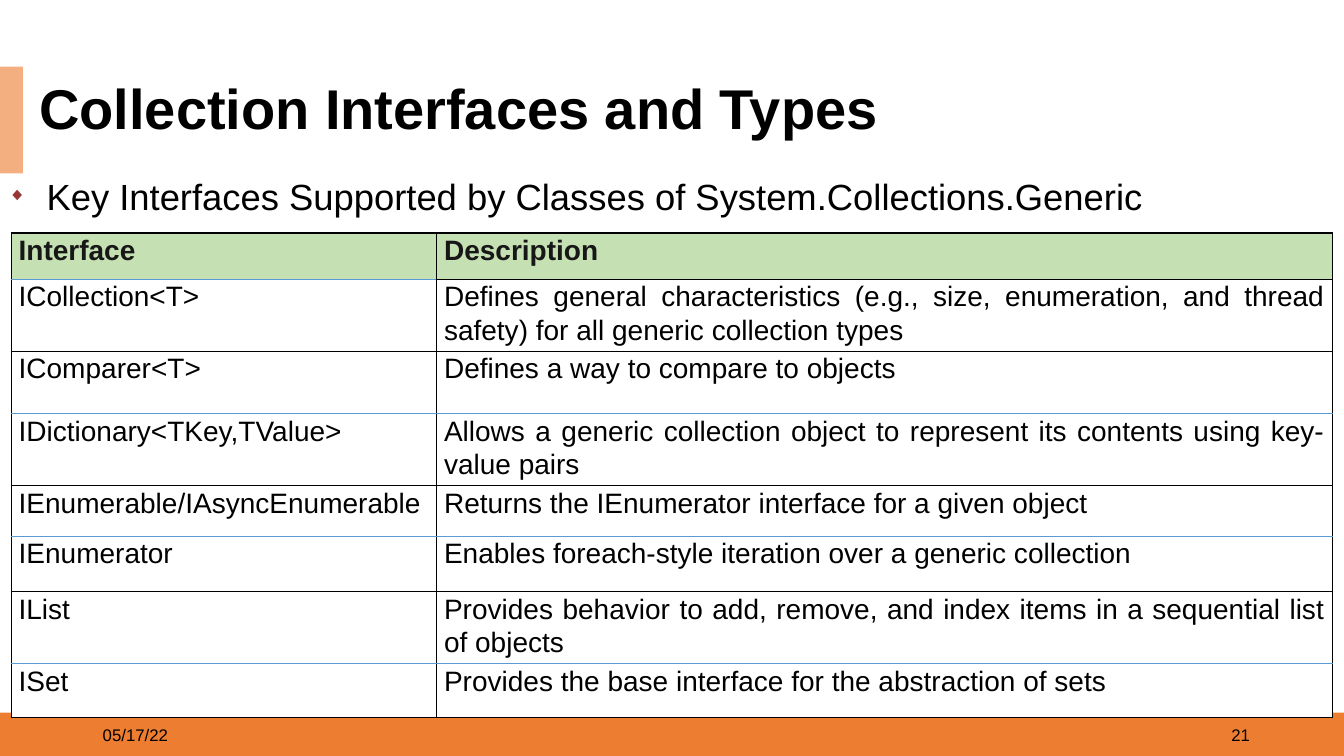
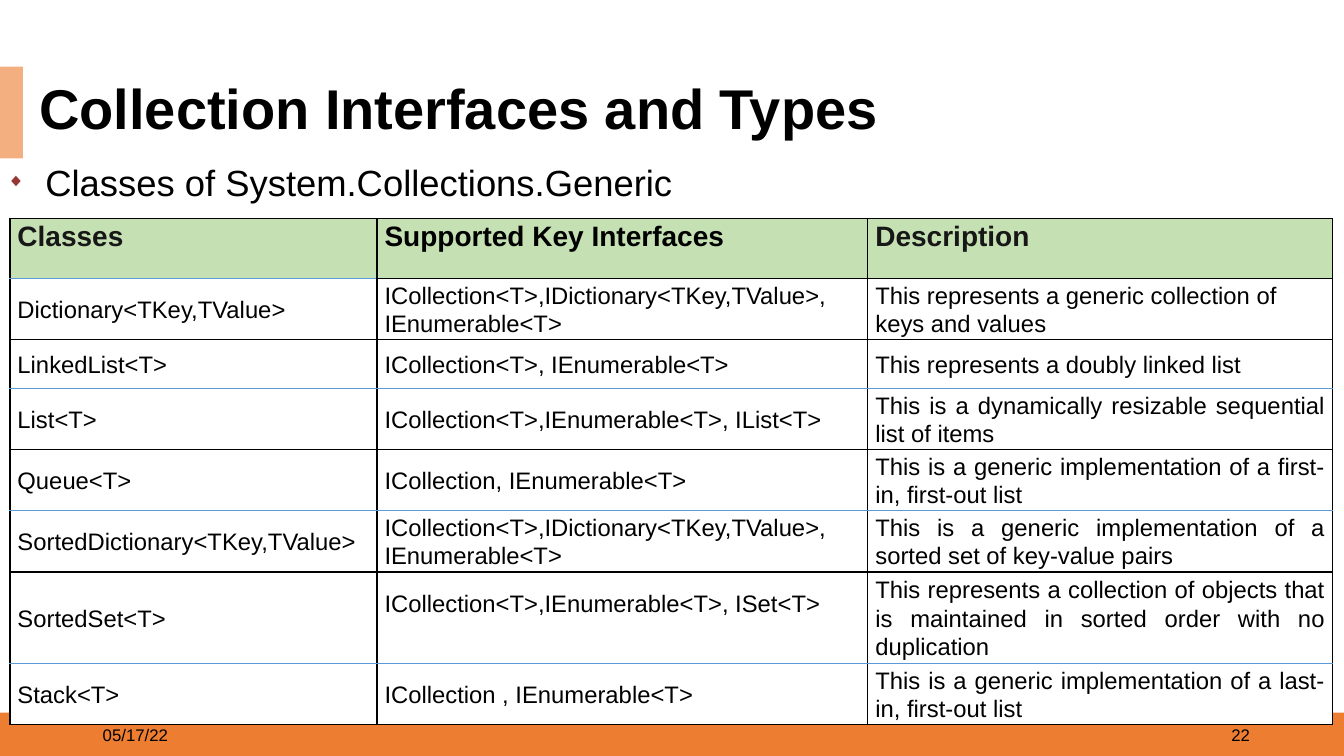
"""Build two slides of tables on generic collection interfaces and classes."""
from lxml import etree
from pptx import Presentation
from pptx.dml.color import RGBColor
from pptx.enum.shapes import MSO_SHAPE
from pptx.enum.text import MSO_ANCHOR, MSO_AUTO_SIZE, PP_ALIGN
from pptx.oxml.ns import qn
from pptx.util import Cm, Pt

RECT = MSO_SHAPE.RECTANGLE
TOP, MIDDLE = MSO_ANCHOR.TOP, MSO_ANCHOR.MIDDLE
LEFT, RIGHT, JUSTIFY = PP_ALIGN.LEFT, PP_ALIGN.RIGHT, PP_ALIGN.JUSTIFY
FIXED = MSO_AUTO_SIZE.NONE

BLACK = RGBColor(0x00, 0x00, 0x00)
WHITE = RGBColor(0xFF, 0xFF, 0xFF)
INK = RGBColor(0x17, 0x17, 0x17)
ORANGE = RGBColor(0xED, 0x7D, 0x31)
PEACH = RGBColor(0xF4, 0xAF, 0x80)
GREEN = RGBColor(0xC5, 0xE0, 0xB3)
BLUE = RGBColor(0x5B, 0x9B, 0xD5)
MAROON = RGBColor(0x97, 0x37, 0x35)

FONT = "Arial"
WIDTH, HEIGHT = 33.87, 19.05
HEADING = "Collection Interfaces and Types"
DATE = "05/17/22"

FACES = {
    "number": 21,
    "lead": "Key Interfaces Supported by Classes of System.Collections.Generic",
    "lead_box": (-0.05, 4.5, 30.71, 0.86),
    "origin": (0.28, 5.87),
    "cols": (10.72, 22.58),
    "heights": (1.17, 1.68, 1.57, 1.68, 1.28, 1.4, 1.68, 1.35),
    "size": 20,
    "anchor": TOP,
    "rows": (
        ("Interface", "Description"),
        ("ICollection<T>", "Defines general characteristics (e.g., size, enumeration, "
         "and thread safety) for all generic collection types"),
        ("IComparer<T>", "Defines a way to compare to objects"),
        ("IDictionary<TKey,TValue>", "Allows a generic collection object to represent "
         "its contents using key-value pairs"),
        ("IEnumerable/IAsyncEnumerable",
         "Returns the IEnumerator interface for a given object"),
        ("IEnumerator", "Enables foreach-style iteration over a generic collection"),
        ("IList", "Provides behavior to add, remove, and index items in a "
         "sequential list of objects"),
        ("ISet", "Provides the base interface for the abstraction of sets"),
    ),
}

CLASSES = {
    "number": 22,
    "lead": "Classes of System.Collections.Generic",
    "lead_box": (-0.08, 3.99, 22.71, 1.17),
    "origin": (0.25, 5.51),
    "cols": (9.25, 12.37, 11.71),
    "heights": (1.51, 1.44, 1.23, 1.44, 1.44, 1.44, 2.15, 1.44),
    "size": 17,
    "anchor": MIDDLE,
    "rows": (
        ("Classes", "Supported Key Interfaces", "Description"),
        ("Dictionary<TKey,TValue>",
         "ICollection<T>,IDictionary<TKey,TValue>, IEnumerable<T>",
         "This represents a generic collection of\nkeys and values"),
        ("LinkedList<T>", "ICollection<T>, IEnumerable<T>",
         "This represents a doubly linked list"),
        ("List<T>", "ICollection<T>,IEnumerable<T>, IList<T>",
         "This is a dynamically resizable sequential list of items"),
        ("Queue<T>", "ICollection, IEnumerable<T>",
         "This is a generic implementation of a first-in, first-out list"),
        ("SortedDictionary<TKey,TValue>",
         "ICollection<T>,IDictionary<TKey,TValue>, IEnumerable<T>",
         "This is a generic implementation of a sorted set of key-value pairs"),
        ("SortedSet<T>", "ICollection<T>,IEnumerable<T>, ISet<T>",
         "This represents a collection of objects that is maintained in sorted "
         "order with no duplication"),
        ("Stack<T>", "ICollection , IEnumerable<T>",
         "This is a generic implementation of a last-in, first-out list"),
    ),
}


def write(frame, text, size=20, bold=False, color=BLACK, align=LEFT, space=1.0):
    frame.text = text
    frame.word_wrap = True
    for para in frame.paragraphs:
        para.alignment = align
        para.line_spacing = space
        para.space_before = Pt(0)
        font = para.runs[0].font
        font.name, font.size, font.bold = FONT, Pt(size), bold
        font.color.rgb = color


def place(shape, box):
    shape.left, shape.top, shape.width, shape.height = map(Cm, box)


def panel(shape, box, text, **style):
    place(shape, box)
    shape.fill.solid()
    shape.fill.fore_color.rgb = WHITE
    frame = shape.text_frame
    write(frame, text, **style)
    frame.auto_size = FIXED
    frame.vertical_anchor = MIDDLE


def child(node, tag, **attrs):
    return etree.SubElement(node, qn(tag), attrs)


def bullet(para):
    props = para._p.get_or_add_pPr()
    indent = Cm(0.97)
    props.set("marL", str(indent))
    props.set("indent", str(-indent))
    child(child(props, "a:buClr"), "a:srgbClr", val=str(MAROON))
    child(props, "a:buSzPct", val="50000")
    child(props, "a:buFont", typeface=FONT)
    child(props, "a:buChar", char="◆")


def bands(slide):
    layout = slide.slide_layout.shapes.element
    for color, box in ((ORANGE, (0, 17.96, WIDTH, HEIGHT - 17.96)),
                       (PEACH, (0, 1.68, 0.58, 2.69))):
        band = slide.shapes.add_shape(RECT, *map(Cm, box))
        band.shadow.inherit = False
        band.fill.solid()
        band.fill.fore_color.rgb = color
        band.line.fill.background()
        layout.append(band.element)


def footer(slide, number):
    for left, text, align in ((2.34, DATE, LEFT), (24.13, str(number), RIGHT)):
        box = slide.shapes.add_textbox(*map(Cm, (left, 18.01, 7.62, 1.02)))
        write(box.text_frame, text, size=12, align=align)
        box.text_frame.vertical_anchor = MIDDLE


def rule(index, col):
    """Return the colour of a horizontal table line."""
    return BLACK if index % 2 == 0 or (index == 1 and col) else BLUE


def borders(cell, row, col):
    props = cell._tc.get_or_add_tcPr()
    sides = (("L", BLACK), ("R", BLACK), ("T", rule(row, col)), ("B", rule(row + 1, col)))
    for side, color in sides:
        line = child(props, "a:ln" + side, w=str(Pt(1)))
        child(child(line, "a:solidFill"), "a:srgbClr", val=str(color))


def grid(slide, data):
    rows, cols, heights = data["rows"], data["cols"], data["heights"]
    size = map(Cm, (*data["origin"], sum(cols), sum(heights)))
    table = slide.shapes.add_table(len(rows), len(cols), *size).table
    table.first_row = table.horz_banding = False
    for col, width in zip(table.columns, cols):
        col.width = Cm(width)
    for r, texts in enumerate(rows):
        table.rows[r].height = Cm(heights[r])
        for c, text in enumerate(texts):
            cell = table.cell(r, c)
            cell.margin_left = cell.margin_right = Cm(0.19)
            cell.margin_top = cell.margin_bottom = 0
            borders(cell, r, c)
            cell.fill.solid()
            if r == 0:
                cell.fill.fore_color.rgb = GREEN
                color = BLACK if text.startswith("Supported") else INK
                write(cell.text_frame, text, bold=True, color=color, space=1.07)
            else:
                cell.fill.fore_color.rgb = WHITE
                cell.vertical_anchor = data["anchor"]
                write(cell.text_frame, text, size=data["size"],
                      align=JUSTIFY if c else LEFT, space=1.07)
    return table


def page(slide, data):
    """Fill one slide with heading, lead line, table and footer."""
    panel(slide.shapes.title, (0.74, 2.16, 30.99, 1.4), HEADING,
          size=40, bold=True, space=0.8)
    lead = slide.placeholders[1]
    panel(lead, data["lead_box"], data["lead"], size=26, align=JUSTIFY)
    bullet(lead.text_frame.paragraphs[0])
    footer(slide, data["number"])
    return grid(slide, data)


def main():
    deck = Presentation()
    deck.slide_width, deck.slide_height = Cm(WIDTH), Cm(HEIGHT)
    layout = deck.slide_layouts[1]
    first, second = (deck.slides.add_slide(layout) for _ in range(2))
    bands(first)
    page(first, FACES)
    table = page(second, CLASSES)
    table.cell(6, 1).margin_bottom = Cm(0.76)
    deck.save("out.pptx")


if __name__ == "__main__":
    main()
